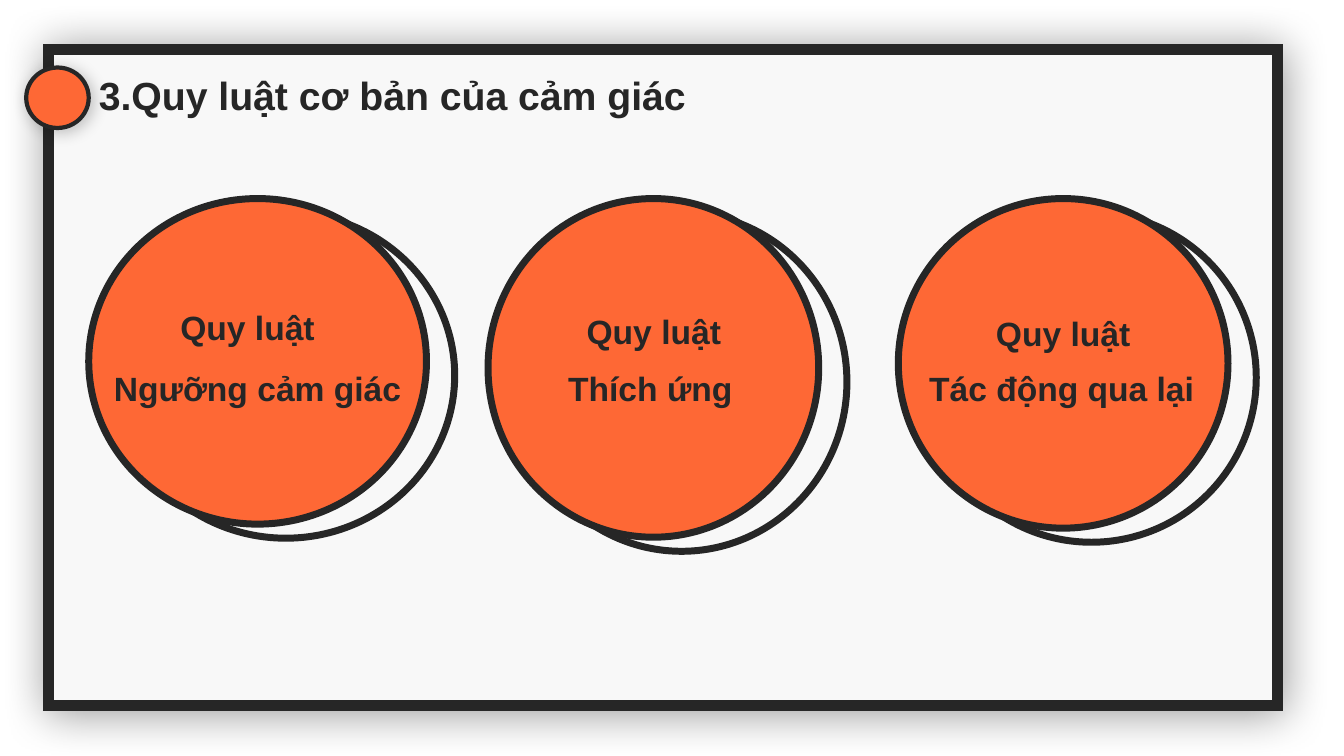
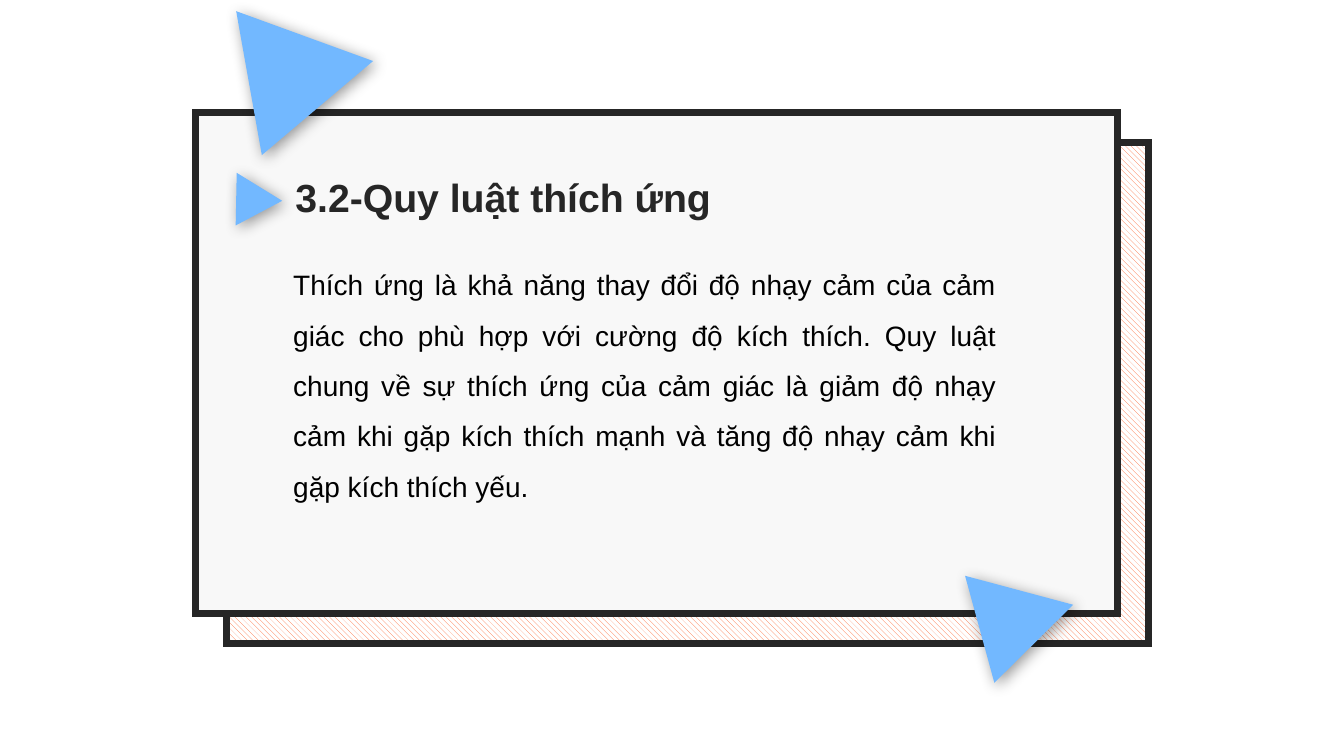
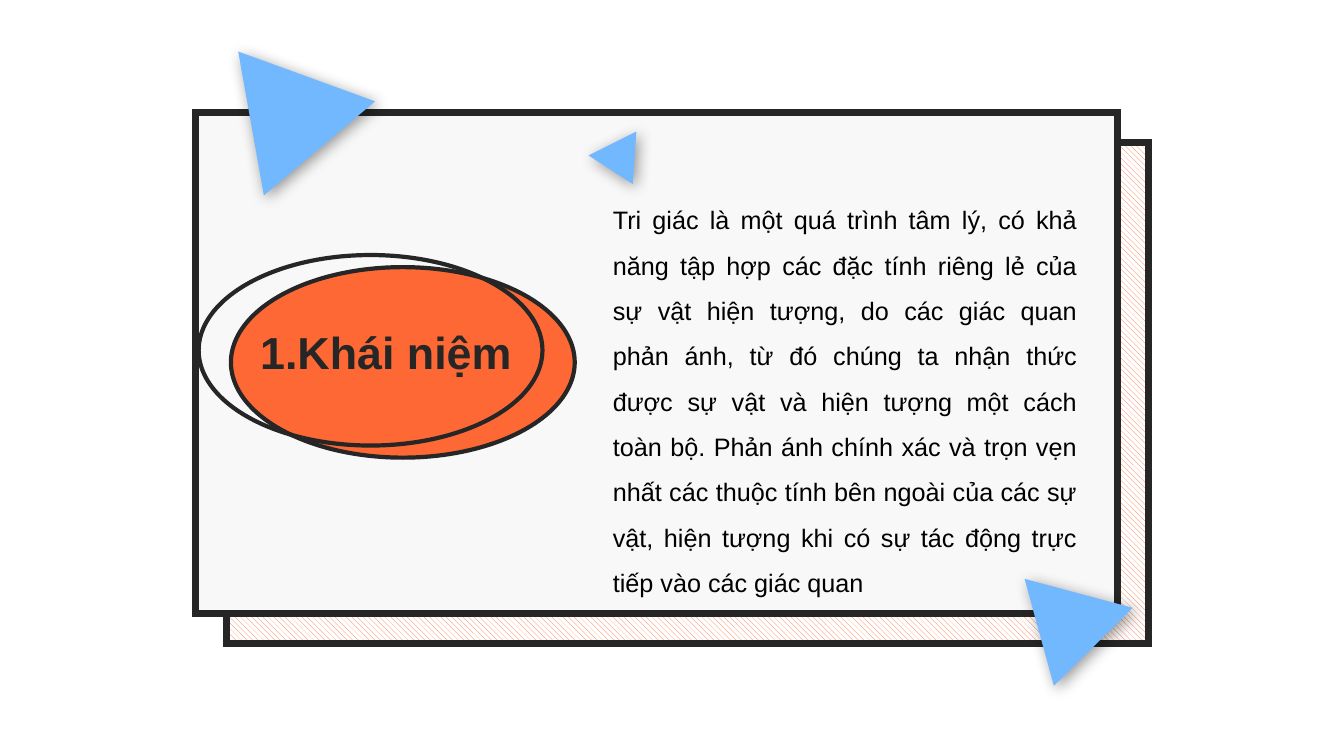
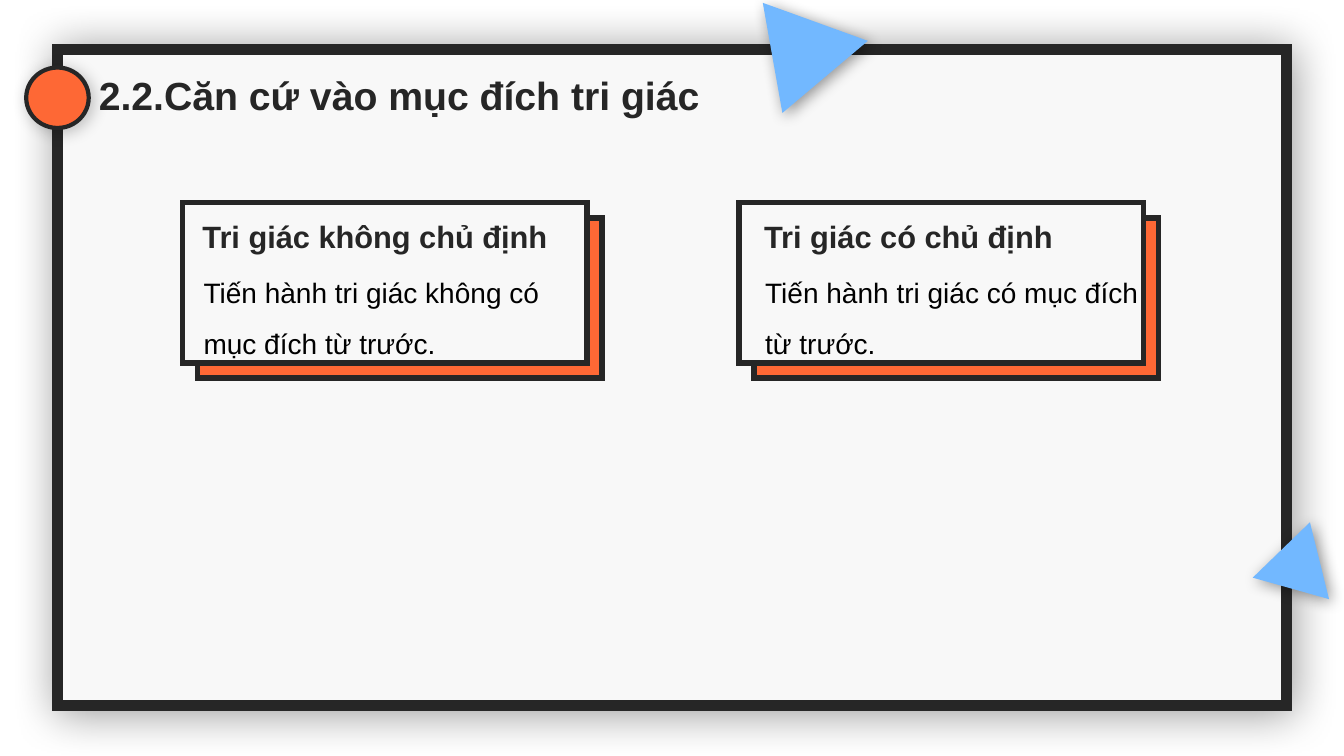
"""Build four slides on the laws of sensation and the kinds of perception."""
import dataclasses
from typing import Any, Optional

import lxml.etree
import pptx
import pptx.dml.color
import pptx.enum.dml
import pptx.enum.shapes
import pptx.enum.text
import pptx.oxml.ns
import pptx.util

PX = 9144
FONT = "Arial"
COLORS = {
    "ink": "262626",
    "paper": "F8F8F8",
    "orange": "FE6835",
    "blue": "72B8FF",
    "white": "FFFFFF",
    "black": "000000",
}
KIND = pptx.enum.shapes.MSO_SHAPE
ALIGN = pptx.enum.text.PP_ALIGN


@dataclasses.dataclass(frozen=True)
class Box:
    """A place on the slide, in px."""
    left: int
    top: int
    width: int
    height: int

    def moved(self, dx: int, dy: int) -> "Box":
        """Return the same box at an offset."""
        return dataclasses.replace(self, left=self.left + dx, top=self.top + dy)

    def emu(self) -> list[int]:
        """Return left, top, width and height in EMU."""
        return [v * PX for v in dataclasses.astuple(self)]


@dataclasses.dataclass(frozen=True)
class Shadow:
    """An outer shadow: opacity in percent, blur in points."""
    alpha: int
    blur: int


@dataclasses.dataclass(frozen=True)
class TextStyle:
    """The format of one text."""
    size: int
    color: str = "ink"
    bold: bool = True
    align: Any = ALIGN.LEFT
    spacing: float = 1.0
    wrap: bool = False
    inset: bool = True


@dataclasses.dataclass(frozen=True)
class Law:
    """A circle with the two lines of its label."""
    circle: Box
    head: Box
    name_box: Box
    name: str


@dataclasses.dataclass(frozen=True)
class Card:
    """A small framed card with a heading and a text."""
    frame: Box
    head_box: Box
    head: str
    body_box: Box
    body: str


@dataclasses.dataclass(frozen=True)
class Triangle:
    """A turned triangle."""
    box: Box
    angle: float


FRAME_SHADOW = Shadow(40, 32)
DOT_SHADOW = Shadow(23, 12)
TRIANGLE_SHADOW = Shadow(40, 11)

TITLE = TextStyle(28)
PANEL_TITLE = TextStyle(28, wrap=True, inset=False)
OVAL_TITLE = TextStyle(32, wrap=True)
LAW = TextStyle(24, align=ALIGN.CENTER)
CARD_HEAD = TextStyle(22)
CARD_BODY = TextStyle(20, "black", False, spacing=1.5, wrap=True)
BODY = dataclasses.replace(CARD_BODY, align=ALIGN.JUSTIFY)
SMALL_BODY = dataclasses.replace(BODY, size=18)

LAWS = [
    Law(Box(88, 197, 335, 323), Box(168, 300, 155, 50),
        Box(98, 360, 315, 50), "Ngưỡng cảm giác"),
    Law(Box(484, 197, 328, 336), Box(571, 304, 155, 50),
        Box(551, 360, 188, 50), "Thích ứng"),
    Law(Box(891, 197, 327, 327), Box(977, 306, 155, 50),
        Box(908, 360, 290, 50), "Tác động qua lại"),
]
CARDS = [
    Card(Box(181, 201, 401, 159), Box(191, 211, 376, 47), "Tri giác không chủ định",
         Box(192, 252, 391, 105), "Tiến hành tri giác không có mục đích từ trước."),
    Card(Box(733, 201, 401, 159), Box(748, 211, 311, 47), "Tri giác có chủ định",
         Box(749, 252, 391, 105), "Tiến hành tri giác có mục đích từ trước."),
]


def rgb(name: str) -> pptx.dml.color.RGBColor:
    """Return a named colour."""
    return pptx.dml.color.RGBColor.from_string(COLORS[name])


def add_shadow(sp: Any, shadow: Shadow) -> None:
    """Give a shape an outer shadow."""
    qn = pptx.oxml.ns.qn
    effects = sp.element.spPr.find(qn("a:effectLst"))
    outer = lxml.etree.SubElement(effects, qn("a:outerShdw"), {
        "blurRad": str(pptx.util.Pt(shadow.blur)), "dist": str(pptx.util.Pt(3)),
        "dir": "2700000", "algn": "tl", "rotWithShape": "0"})
    color = lxml.etree.SubElement(outer, qn("a:srgbClr"), {"val": COLORS["black"]})
    lxml.etree.SubElement(color, qn("a:alpha"), {"val": str(shadow.alpha * 1000)})


def add_shape(s: Any, kind: Any, box: Box, fill: Optional[str], line: int = 0,
              shadow: Optional[Shadow] = None) -> Any:
    """Draw a preset shape with an ink outline of the given points."""
    sp = s.shapes.add_shape(kind, *box.emu())
    sp.shadow.inherit = False
    if fill:
        sp.fill.solid()
        sp.fill.fore_color.rgb = rgb(fill)
    else:
        sp.fill.background()
    if line:
        sp.line.color.rgb = rgb("ink")
        sp.line.width = pptx.util.Pt(line)
        qn = pptx.oxml.ns.qn
        lxml.etree.SubElement(sp.element.spPr.find(qn("a:ln")), qn("a:miter"), {"lim": "800000"})
    else:
        sp.line.fill.background()
    if shadow:
        add_shadow(sp, shadow)
    return sp


def write(sp: Any, text: str, style: TextStyle) -> None:
    """Fill a text box or placeholder with one formatted paragraph."""
    tf = sp.text_frame
    frame = {"word_wrap": style.wrap,
             "auto_size": pptx.enum.text.MSO_AUTO_SIZE.SHAPE_TO_FIT_TEXT,
             "vertical_anchor": pptx.enum.text.MSO_ANCHOR.TOP}
    for side, inset in (("left", 10), ("right", 10), ("top", 5), ("bottom", 5)):
        frame[f"margin_{side}"] = inset * PX if style.inset else 0
    p = tf.paragraphs[0]
    r = p.add_run()
    r.text = text
    font = {"name": FONT, "size": pptx.util.Pt(style.size), "bold": style.bold}
    paragraph = {"alignment": style.align, "line_spacing": style.spacing}
    for target, values in ((tf, frame), (p, paragraph), (r.font, font)):
        for name, value in values.items():
            setattr(target, name, value)
    r.font.color.rgb = rgb(style.color)


def add_text(s: Any, box: Box, text: str, style: TextStyle) -> None:
    """Add a text box."""
    write(s.shapes.add_textbox(*box.emu()), text, style)


def set_title(s: Any, box: Box, text: str, style: TextStyle) -> None:
    """Place the title placeholder in front of what is drawn so far."""
    sp = s.shapes.title
    sp.left, sp.top, sp.width, sp.height = box.emu()
    write(sp, text, style)
    sp.element.getparent().append(sp.element)


def add_triangles(s: Any, *triangles: Triangle) -> None:
    """Draw blue triangles."""
    for t in triangles:
        sp = add_shape(s, KIND.ISOSCELES_TRIANGLE, t.box, "blue", shadow=TRIANGLE_SHADOW)
        sp.rotation = t.angle


def new_slide(prs: Any) -> Any:
    """Add a title-only slide."""
    return prs.slides.add_slide(prs.slide_layouts[5])


def framed_slide(prs: Any, left: int, title: str, title_width: int) -> Any:
    """Add a slide with a wide frame, a dot and a title."""
    s = new_slide(prs)
    add_shape(s, KIND.RECTANGLE, Box(left, 49, 1219, 651), "paper", 8, FRAME_SHADOW)
    add_shape(s, KIND.OVAL, Box(26, 67, 62, 60), "orange", 3, DOT_SHADOW)
    set_title(s, Box(88, 66, title_width, 57), title, TITLE)
    return s


def panel_slide(prs: Any) -> Any:
    """Add a slide with a panel over a hatched one."""
    s = new_slide(prs)
    panel = Box(194, 112, 914, 497)
    fill = add_shape(s, KIND.RECTANGLE, panel.moved(31, 29), "white", 5).fill
    fill.patterned()
    fill.pattern = pptx.enum.dml.MSO_PATTERN.WIDE_DOWNWARD_DIAGONAL
    fill.fore_color.rgb = rgb("orange")
    fill.back_color.rgb = rgb("white")
    add_shape(s, KIND.RECTANGLE, panel, "paper", 5)
    return s


def laws_slide(prs: Any) -> None:
    """Build the slide of the three laws."""
    s = framed_slide(prs, 48, "3.Quy luật cơ bản của cảm giác", 618)
    for law in LAWS:
        add_shape(s, KIND.OVAL, law.circle.moved(28, 14), "paper", 5)
        add_shape(s, KIND.OVAL, law.circle, "orange", 5)
        add_text(s, law.head, "Quy luật", LAW)
        add_text(s, law.name_box, law.name, LAW)


def adaptation_slide(prs: Any) -> None:
    """Build the slide on the law of adaptation."""
    s = panel_slide(prs)
    add_triangles(s, Triangle(Box(236, 9, 145, 125), 79.9),
                  Triangle(Box(219, 182, 53, 45), 211.6))
    set_title(s, Box(293, 172, 593, 47), "3.2-Quy luật thích ứng", PANEL_TITLE)
    add_text(s, Box(281, 244, 717, 256),
             "Thích ứng là khả năng thay đổi độ nhạy cảm của cảm giác cho phù hợp với "
             "cường độ kích thích. Quy luật chung về sự thích ứng của cảm giác là giảm "
             "độ nhạy cảm khi gặp kích thích mạnh và tăng độ nhạy cảm khi gặp kích "
             "thích yếu.", BODY)
    add_triangles(s, Triangle(Box(943, 584, 111, 95), 195))


def concept_slide(prs: Any) -> None:
    """Build the slide that defines perception."""
    s = panel_slide(prs)
    add_triangles(s, Triangle(Box(238, 49, 145, 125), 79.9),
                  Triangle(Box(591, 140, 53, 45), 153.4))
    oval = Box(229, 265, 341, 189)
    add_shape(s, KIND.OVAL, oval, "orange", 3)
    set_title(s, Box(248, 317, 334, 64), "1.Khái niệm", OVAL_TITLE)
    add_shape(s, KIND.OVAL, oval.moved(-32, -12), None, 3)
    add_text(s, Box(598, 183, 480, 414),
             "Tri giác là một quá trình tâm lý, có khả năng tập hợp các đặc tính riêng "
             "lẻ của sự vật hiện tượng, do các giác quan phản ánh, từ đó chúng ta nhận "
             "thức được sự vật và hiện tượng một cách toàn bộ. Phản ánh chính xác và "
             "trọn vẹn nhất các thuộc tính bên ngoài của các sự vật, hiện tượng khi có "
             "sự tác động trực tiếp vào các giác quan", SMALL_BODY)
    add_triangles(s, Triangle(Box(1002, 587, 111, 95), 195))


def purpose_slide(prs: Any) -> None:
    """Build the slide on perception by purpose."""
    s = framed_slide(prs, 57, "2.2.Căn cứ vào mục đích tri giác", 641)
    for card in CARDS:
        add_shape(s, KIND.RECTANGLE, card.frame.moved(15, 15), "orange", 4)
        add_shape(s, KIND.RECTANGLE, card.frame, "paper", 4)
        add_text(s, card.body_box, card.body, CARD_BODY)
        add_text(s, card.head_box, card.head, CARD_HEAD)
    add_triangles(s, Triangle(Box(758, 1, 111, 96), 79.9),
                  Triangle(Box(1255, 536, 79, 68), 135.9))


def main() -> None:
    """Build and save the presentation."""
    prs = pptx.Presentation()
    prs.slide_width, prs.slide_height = 1333 * PX, 750 * PX
    for build in (laws_slide, adaptation_slide, concept_slide, purpose_slide):
        build(prs)
    prs.save("out.pptx")


if __name__ == "__main__":
    main()
